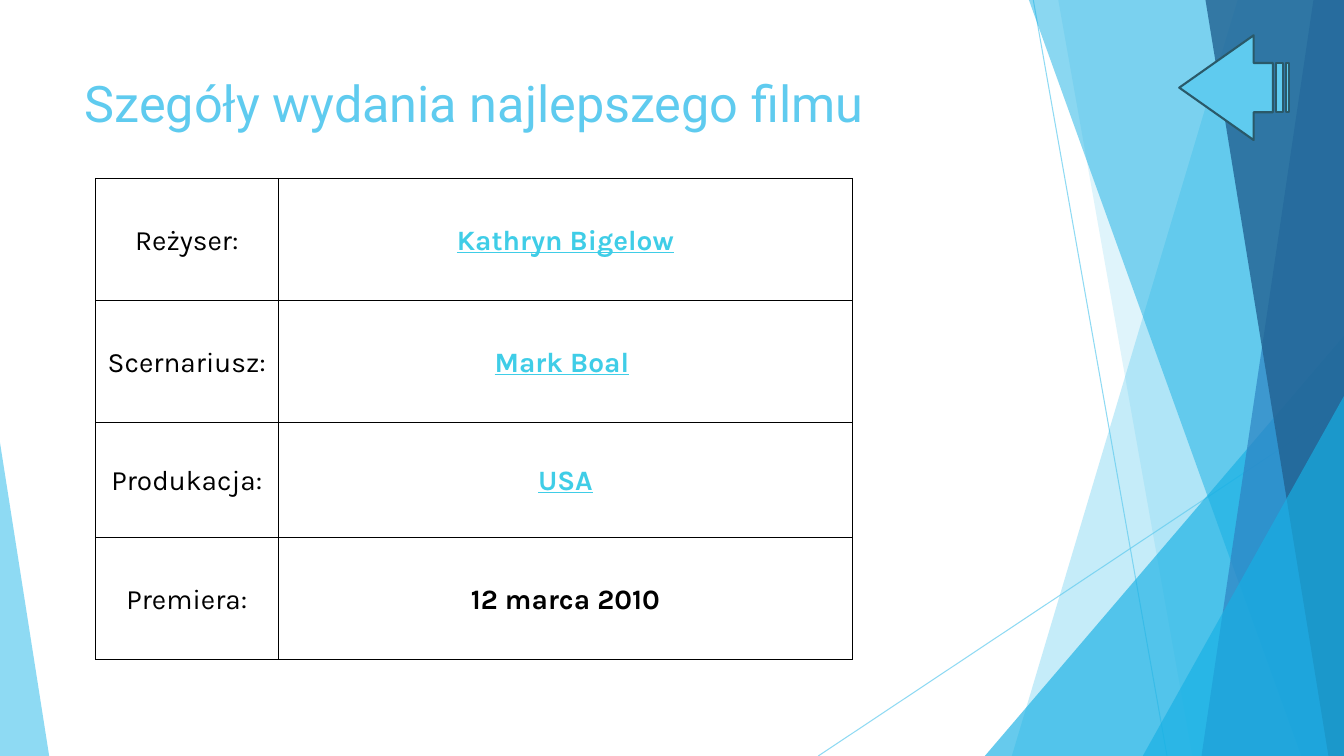
from lxml import etree
from pptx import Presentation
from pptx.dml.color import RGBColor
from pptx.enum.shapes import MSO_CONNECTOR, MSO_SHAPE
from pptx.enum.text import MSO_ANCHOR, PP_ALIGN
from pptx.oxml.ns import qn
from pptx.util import Cm, Pt

STRAIGHT = MSO_CONNECTOR.STRAIGHT
TRIANGLE = MSO_SHAPE.ISOSCELES_TRIANGLE
STRIPED_ARROW = MSO_SHAPE.STRIPED_RIGHT_ARROW
MIDDLE = MSO_ANCHOR.MIDDLE
TOP = MSO_ANCHOR.TOP
CENTER = PP_ALIGN.CENTER
LEFT = PP_ALIGN.LEFT

SKY = RGBColor(0x5F, 0xCB, 0xEF)
CYAN = RGBColor(0x17, 0xB0, 0xE4)
BLUE = RGBColor(0x2E, 0x83, 0xC3)
NAVY = RGBColor(0x22, 0x62, 0x92)
OUTLINE = RGBColor(0x2A, 0x59, 0x69)
LINK = RGBColor(0x3F, 0xCD, 0xE7)
BLACK = RGBColor(0, 0, 0)

WIDTH, HEIGHT = 33.87, 19.05
TITLE_ONLY = 5

DETAILS = [
    ("Reżyser:", [("Kathryn Bigelow", True)]),
    ("Scernariusz:", [("Mark Boal", True), (" ", False)]),
    ("Produkacja:", [("USA", True)]),
    ("Premiera:", [("12 marca 2010", False)]),
]


def set_opacity(element, percent):
    color = next(element.iter(qn("a:srgbClr")))
    etree.SubElement(color, qn("a:alpha"), val=str(percent * 1000))


def paint(shape, color, opacity):
    shape.shadow.inherit = False
    shape.fill.solid()
    shape.fill.fore_color.rgb = color
    set_opacity(shape._element.spPr, opacity)
    shape.line.fill.background()


def add_ray(slide, start, end):
    ray = slide.shapes.add_connector(STRAIGHT, *map(Cm, start + end))
    ray.line.color.rgb = SKY
    ray.line.width = Pt(0.75)
    set_opacity(ray._element.spPr, 70)
    etree.SubElement(ray._element.spPr, qn("a:effectLst"))


def add_band(slide, top_x, bottom_x, color, opacity):
    builder = slide.shapes.build_freeform(Cm(top_x), Cm(0))
    corners = [(WIDTH, 0), (WIDTH, HEIGHT), (bottom_x, HEIGHT)]
    builder.add_line_segments([(Cm(x), Cm(y)) for x, y in corners])
    paint(builder.convert_to_shape(), color, opacity)


def add_corner(slide, left, top, right, peak, color, opacity):
    corner = slide.shapes.add_shape(
        TRIANGLE, Cm(left), Cm(top), Cm(right - left), Cm(HEIGHT - top))
    corner.adjustments[0] = peak
    paint(corner, color, opacity)


def add_backdrop(slide):
    add_ray(slide, (26.04, 0), (29.41, HEIGHT))
    add_ray(slide, (WIDTH, 10.24), (20.62, HEIGHT))
    add_band(slide, 31.19, 25.5, SKY, 36)
    add_band(slide, 26.67, 30.05, SKY, 20)
    add_corner(slide, 24.82, 8.46, WIDTH, 1, CYAN, 66)
    add_band(slide, 25.93, 32.79, CYAN, 50)
    add_band(slide, 33.1, 30.28, BLUE, 70)
    add_band(slide, 30.38, 33.48, NAVY, 80)
    add_corner(slide, 28.8, 9.98, WIDTH, 1, CYAN, 66)
    add_corner(slide, 0, 11.15, 1.24, 0, SKY, 70)


def add_run(paragraph, text, font_name, size, color):
    run = paragraph.add_run()
    run.text = text
    run.font.name = font_name
    run.font.size = Pt(size)
    run.font.color.rgb = color
    return run


def place_title(slide, left, top, width, height):
    title = slide.shapes.title
    title.left, title.top = Cm(left), Cm(top)
    title.width, title.height = Cm(width), Cm(height)
    title.text_frame.vertical_anchor = TOP
    paragraph = title.text_frame.paragraphs[0]
    paragraph.alignment = LEFT
    add_run(paragraph, "Szegóły wydania najlepszego filmu", "Roboto", 36, SKY)
    slide.shapes._spTree.append(title._element)


def add_back_arrow(slide, left, top, width, height):
    arrow = slide.shapes.add_shape(
        STRIPED_ARROW, Cm(left), Cm(top), Cm(width), Cm(height))
    arrow.adjustments[0] = 0.47
    arrow.adjustments[1] = 0.71
    arrow._element.spPr.find(qn("a:xfrm")).set("flipH", "1")
    arrow.shadow.inherit = False
    arrow.fill.solid()
    arrow.fill.fore_color.rgb = SKY
    arrow.line.color.rgb = OUTLINE
    arrow.line.width = Pt(1.5)


def add_borders(cell):
    properties = cell._tc.get_or_add_tcPr()
    for side in ("a:lnL", "a:lnR", "a:lnT", "a:lnB"):
        border = etree.SubElement(properties, qn(side), w=str(Pt(1)))
        fill = etree.SubElement(border, qn("a:solidFill"))
        etree.SubElement(fill, qn("a:srgbClr"), val=str(BLACK))


def fill_cell(cell, runs, bold):
    add_borders(cell)
    cell.fill.background()
    cell.vertical_anchor = MIDDLE
    cell.margin_left = cell.margin_right = Cm(0.18)
    cell.margin_top = cell.margin_bottom = 0
    paragraph = cell.text_frame.paragraphs[0]
    paragraph.alignment = CENTER
    paragraph.line_spacing = 1.1
    paragraph.space_after = Pt(6)
    for text, linked in runs:
        run = add_run(paragraph, text, "Karla", 20, LINK if linked else BLACK)
        run.font.bold = bold
        run.font.underline = linked


def add_details_table(slide, left, top, column_widths, row_heights):
    table = slide.shapes.add_table(
        len(row_heights), len(column_widths), Cm(left), Cm(top),
        Cm(sum(column_widths)), Cm(sum(row_heights))).table
    table.first_row = False
    table.horz_banding = False
    for column, width in zip(table.columns, column_widths):
        column.width = Cm(width)
    for row, height, (label, value) in zip(table.rows, row_heights, DETAILS):
        row.height = Cm(height)
        fill_cell(row.cells[0], [(label, False)], False)
        fill_cell(row.cells[1], value, True)


def main():
    presentation = Presentation()
    presentation.slide_width = Cm(WIDTH)
    presentation.slide_height = Cm(HEIGHT)
    slide = presentation.slides.add_slide(
        presentation.slide_layouts[TITLE_ONLY])
    add_backdrop(slide)
    place_title(slide, 1.88, 1.7, 23.88, 3.66)
    add_back_arrow(slide, 29.72, 0.89, 2.77, 2.64)
    add_details_table(slide, 2.41, 4.5, [4.6, 14.48], [3.07, 3.07, 2.9, 3.07])
    presentation.save("out.pptx")


if __name__ == "__main__":
    main()
